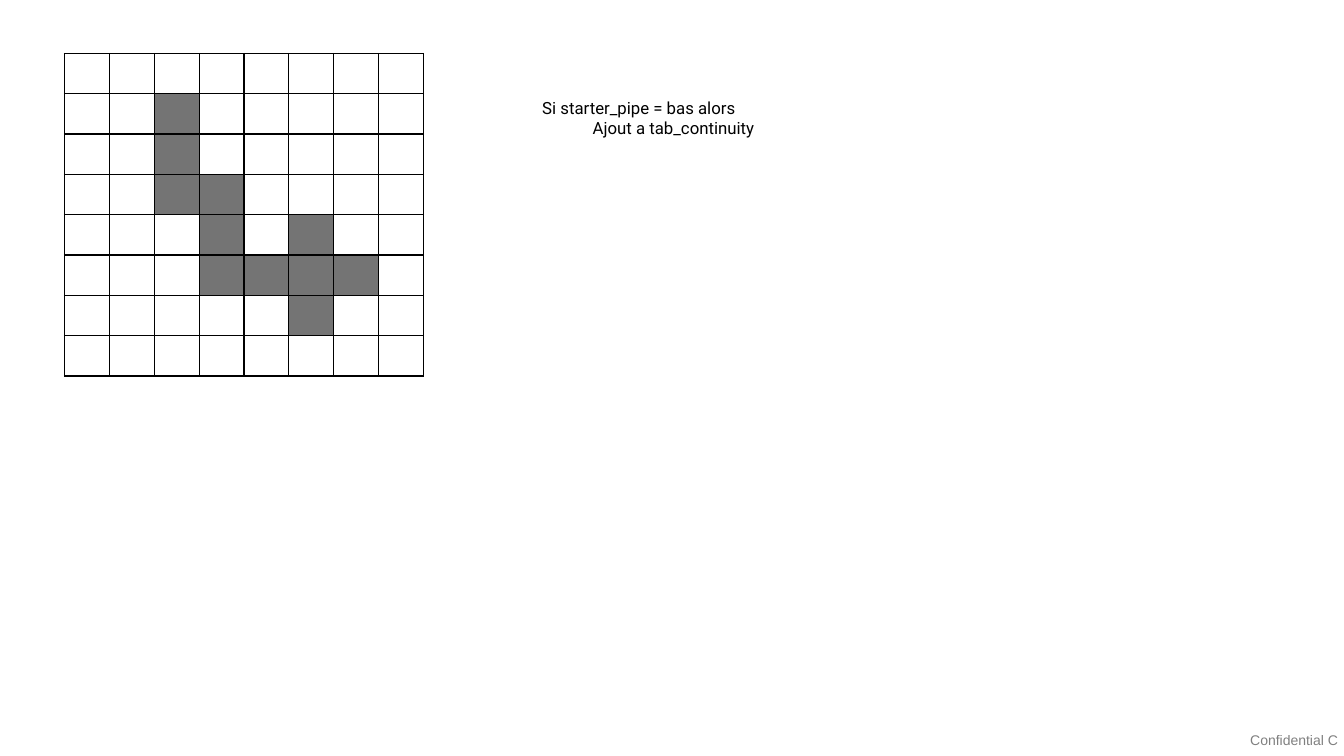
from lxml.etree import SubElement
from pptx import Presentation
from pptx.dml.color import RGBColor
from pptx.oxml.ns import qn
from pptx.util import Inches, Pt

BLACK = RGBColor(0x00, 0x00, 0x00)
GREY = RGBColor(0x74, 0x74, 0x74)

# Pipe map: "#" marks a filled cell
PIPES = [
    "........",
    "..#.....",
    "..#.....",
    "..##....",
    "...#.#..",
    "...####.",
    ".....#..",
    "........",
]


class Page:
    """Holds the current slide and draws its elements in one style."""

    def __init__(self, slide):
        self.slide = slide
        self.ink = BLACK
        self.width = Pt(1)

    def text(self, box, lines, font, size, inset=(0.1, 0.05), alpha=None):
        frame = self.slide.shapes.add_textbox(*map(Inches, box)).text_frame
        frame.word_wrap = True
        frame.margin_left = frame.margin_right = Inches(inset[0])
        frame.margin_top = frame.margin_bottom = Inches(inset[1])
        frame.text = "\n".join(lines)
        for para in frame.paragraphs:
            para.font.name = font
            para.font.size = Pt(size)
            para.font.color.rgb = self.ink
            if alpha is not None:
                for color in para.font.fill._xPr.iter(qn("a:srgbClr")):
                    SubElement(color, qn("a:alpha"), val=str(alpha * 1000))

    def border(self, cell):
        props = cell._tc.get_or_add_tcPr()
        for side in ("lnL", "lnR", "lnT", "lnB"):
            line = SubElement(props, qn(f"a:{side}"), w=str(self.width))
            fill = SubElement(line, qn("a:solidFill"))
            SubElement(fill, qn("a:srgbClr"), val=str(self.ink))

    def grid(self, box, rows):
        shape = self.slide.shapes.add_table(
            len(rows), len(rows[0]), *map(Inches, box))
        table = shape.table
        table.first_row = table.horz_banding = False
        for r, row in enumerate(rows):
            for c, mark in enumerate(row):
                cell = table.cell(r, c)
                cell.text_frame.paragraphs[0].font.size = Pt(12)
                self.border(cell)
                if mark == "#":
                    cell.fill.solid()
                    cell.fill.fore_color.rgb = GREY
                else:
                    cell.fill.background()


def main():
    deck = Presentation()
    deck.slide_width = Inches(13.33)
    deck.slide_height = Inches(7.5)
    page = Page(deck.slides.add_slide(deck.slide_layouts[6]))

    # Footer
    page.text((12.4, 7.26, 0.91, 0.17), ["Confidential C"], "Arial", 10,
              inset=(0, 0), alpha=50)

    # Pipe grid
    page.grid((0.64, 0.53, 3.56, 3.2), PIPES)

    # Rule
    page.text((5.28, 0.92, 3.13, 0.71),
              ["Si starter_pipe = bas alors", "\tAjout a tab_continuity"],
              "Roboto", 12)

    deck.save("out.pptx")


if __name__ == "__main__":
    main()
